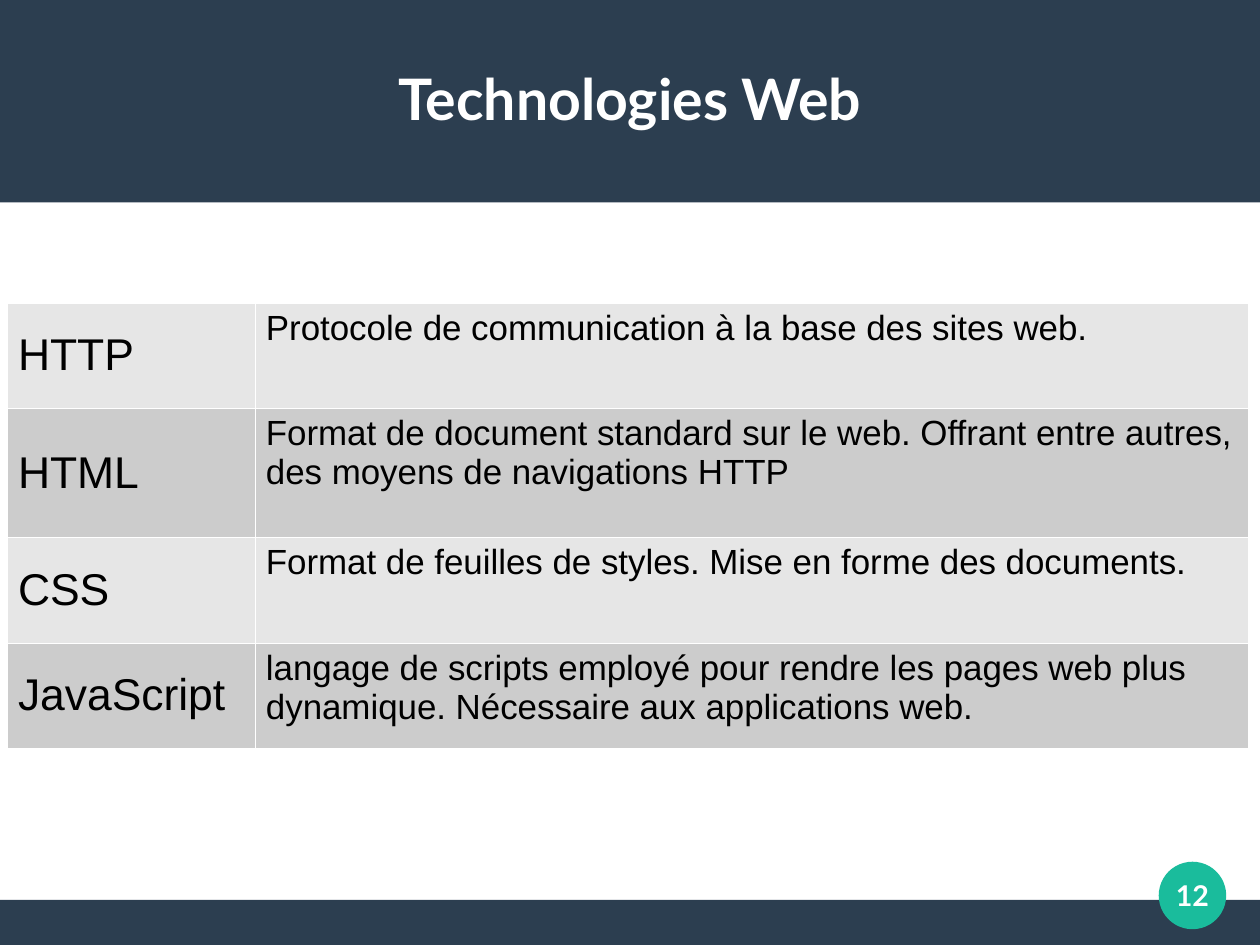
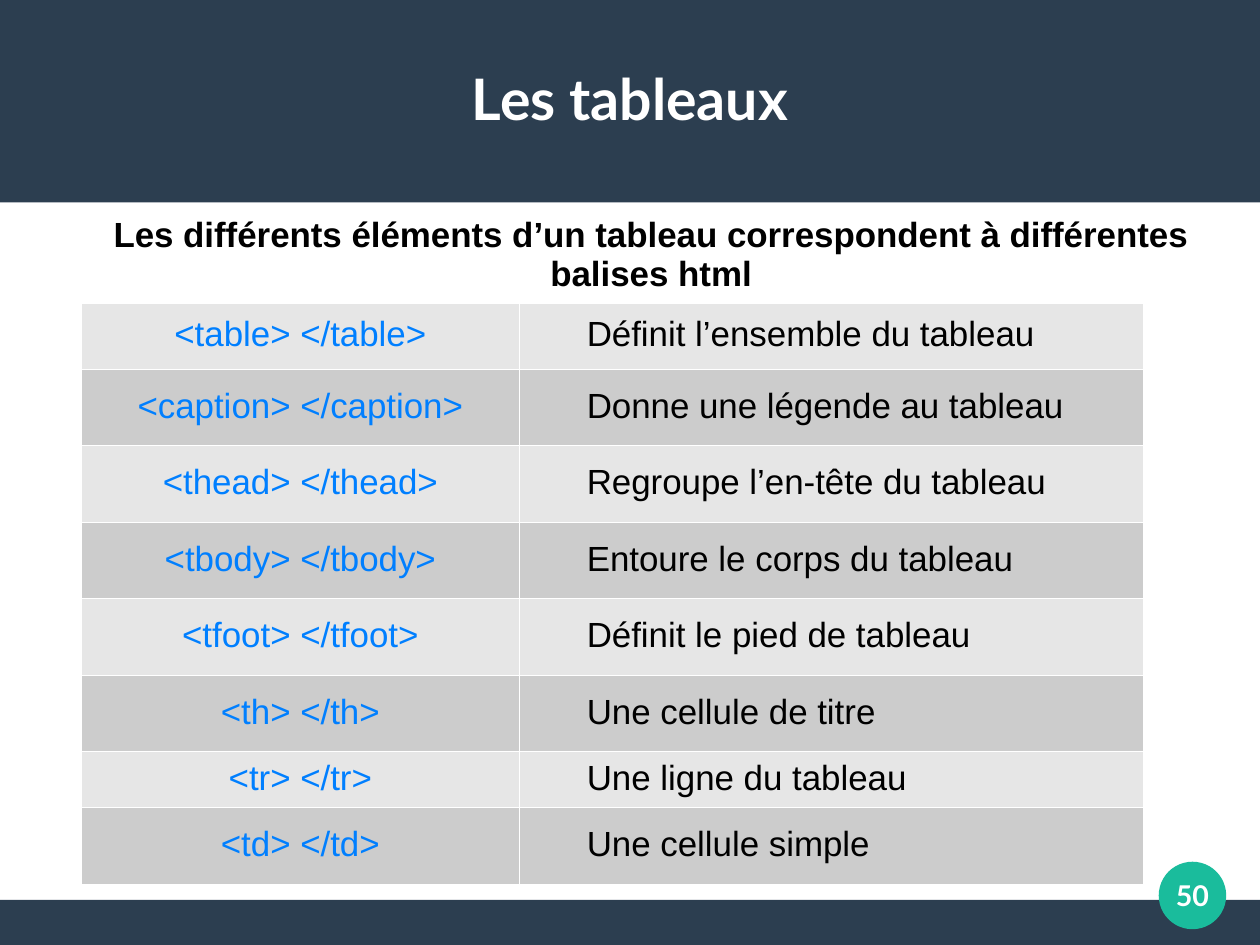
import pptx
import pptx.dml.color
import pptx.enum.shapes
import pptx.enum.text
import pptx.oxml
import pptx.oxml.ns
import pptx.util
from pptx.util import Cm

RGBColor = pptx.dml.color.RGBColor
Align = pptx.enum.text.PP_ALIGN
Anchor = pptx.enum.text.MSO_ANCHOR
Shape = pptx.enum.shapes.MSO_SHAPE

NAVY = RGBColor(0x2C, 0x3E, 0x50)
TEAL = RGBColor(0x1A, 0xBC, 0x9C)
WHITE = RGBColor(0xFF, 0xFF, 0xFF)
BLACK = RGBColor(0x00, 0x00, 0x00)
BLUE = RGBColor(0x00, 0x7F, 0xFF)
LIGHT_GREY = RGBColor(0xE6, 0xE6, 0xE6)
MID_GREY = RGBColor(0xCC, 0xCC, 0xCC)

TITLE_FONT = "Lato"
BODY_FONT = "Arial"
WIDTH, HEIGHT = 28, 21
HEADER_HEIGHT, FOOTER_HEIGHT = 4.5, 1
BODY_SPACING = 0.93

TECHNOLOGIES = [
    ("HTTP", "Protocole de communication à la base des sites web."),
    ("HTML", "Format de document standard sur le web. Offrant entre autres, "
             "des moyens de navigations HTTP"),
    ("CSS", "Format de feuilles de styles. Mise en forme des documents."),
    ("JavaScript", "langage de scripts employé pour rendre les pages web plus "
                   "dynamique. Nécessaire aux applications web."),
]

TABLE_TAGS = [
    ("table", "Définit l’ensemble du tableau"),
    ("caption", "Donne une légende au tableau"),
    ("thead", "Regroupe l’en-tête du tableau"),
    ("tbody", "Entoure le corps du tableau"),
    ("tfoot", "Définit le pied de tableau"),
    ("th", "Une cellule de titre"),
    ("tr", "Une ligne du tableau"),
    ("td", "Une cellule simple"),
]


class Course:
    def __init__(self):
        self.deck = pptx.Presentation()
        self.deck.slide_width = Cm(WIDTH)
        self.deck.slide_height = Cm(HEIGHT)
        self.page = None

    def add_page(self, title, number):
        self.page = self.deck.slides.add_slide(self.deck.slide_layouts[5])
        self.background_shape(Shape.RECTANGLE, 0, 0, WIDTH, HEADER_HEIGHT, NAVY)
        badge = self.background_shape(Shape.OVAL, 25.75, 19.15, 1.5, 1.5, TEAL)
        self.background_shape(Shape.RECTANGLE, 0, HEIGHT - FOOTER_HEIGHT,
                              WIDTH, FOOTER_HEIGHT, NAVY)
        self.fill_frame(badge.text_frame, str(number), 18, TITLE_FONT, WHITE,
                        anchor=Anchor.MIDDLE)
        badge.text_frame.word_wrap = False
        heading = self.page.shapes.title
        heading.left, heading.top = Cm(1), Cm(0.84)
        heading.width, heading.height = Cm(26), Cm(2.67)
        self.fill_frame(heading.text_frame, title, 36, TITLE_FONT, WHITE,
                        anchor=Anchor.MIDDLE)

    def background_shape(self, kind, left, top, width, height, color):
        shape = self.page.shapes.add_shape(
            kind, Cm(left), Cm(top), Cm(width), Cm(height))
        shape.shadow.inherit = False
        shape.fill.solid()
        shape.fill.fore_color.rgb = color
        shape.line.fill.background()
        self.page.shapes.element.insert(2, shape.element)
        return shape

    def fill_frame(self, frame, text, size, font, color,
                   anchor=Anchor.TOP, spacing=None):
        frame.margin_left = frame.margin_right = 0
        frame.margin_top = frame.margin_bottom = 0
        frame.auto_size = pptx.enum.text.MSO_AUTO_SIZE.NONE
        frame.word_wrap = True
        frame.vertical_anchor = anchor
        self.style_text(frame, text, size, font, color, True,
                        Align.CENTER, spacing)

    def style_text(self, frame, text, size, font, color, bold, align, spacing):
        frame.text = text
        para = frame.paragraphs[0]
        para.alignment = align
        para.line_spacing = spacing
        para.font.size = pptx.util.Pt(size)
        para.font.name = font
        para.font.bold = bold
        para.font.color.rgb = color

    def add_text(self, text, left, top, width, height):
        box = self.page.shapes.add_textbox(
            Cm(left), Cm(top), Cm(width), Cm(height))
        self.fill_frame(box.text_frame, text, 22, BODY_FONT, BLACK,
                        spacing=BODY_SPACING)

    def add_table(self, left, top, widths, heights, rows, columns):
        frame = self.page.shapes.add_table(
            len(rows), len(widths), Cm(left), Cm(top),
            Cm(sum(widths)), Cm(sum(heights)))
        table = frame.table
        table.first_row = table.horz_banding = False
        for column, width in zip(table.columns, widths):
            column.width = Cm(width)
        for index, (row, height) in enumerate(zip(table.rows, heights)):
            row.height = Cm(height)
            fill = MID_GREY if index % 2 else LIGHT_GREY
            for cell, text, look in zip(row.cells, rows[index], columns):
                self.fill_cell(cell, text, fill, **look)

    def fill_cell(self, cell, text, fill, size=22, color=BLACK,
                  align=Align.LEFT, anchor=Anchor.MIDDLE, spacing=None,
                  indent=0):
        self.style_text(cell.text_frame, text, size, BODY_FONT, color, False,
                        align, spacing)
        cell.vertical_anchor = anchor
        cell.margin_left = Cm(0.25 + indent)
        cell.margin_right = Cm(0.25)
        cell.margin_top = cell.margin_bottom = Cm(0.13)
        properties = cell._tc.get_or_add_tcPr()
        for side in ("lnL", "lnR", "lnT", "lnB"):
            properties.append(pptx.oxml.parse_xml(
                f'<a:{side} {pptx.oxml.ns.nsdecls("a")} w="720"><a:solidFill>'
                f'<a:srgbClr val="{WHITE}"/></a:solidFill></a:{side}>'))
        cell.fill.solid()
        cell.fill.fore_color.rgb = fill


def main():
    course = Course()

    course.add_page("Technologies Web", 12)
    course.add_table(
        0.15, 6.73, [5.51, 22.08], [2.34, 2.87, 2.34, 2.34], TECHNOLOGIES,
        [dict(size=28), dict(anchor=Anchor.TOP)])

    course.add_page("Les tableaux", 50)
    course.add_text("Les différents éléments d’un tableau correspondent à "
                    "différentes balises html", 1.94, 4.8, 25.06, 1.9)
    course.add_table(
        1.81, 6.73, [9.73, 13.87], [1.47] + [1.7] * 5 + [1.24, 1.7],
        [(f"<{tag}> </{tag}>", meaning) for tag, meaning in TABLE_TAGS],
        [dict(color=BLUE, align=Align.CENTER, spacing=BODY_SPACING),
         dict(indent=1.25, spacing=BODY_SPACING)])

    course.deck.save("out.pptx")


if __name__ == "__main__":
    main()
